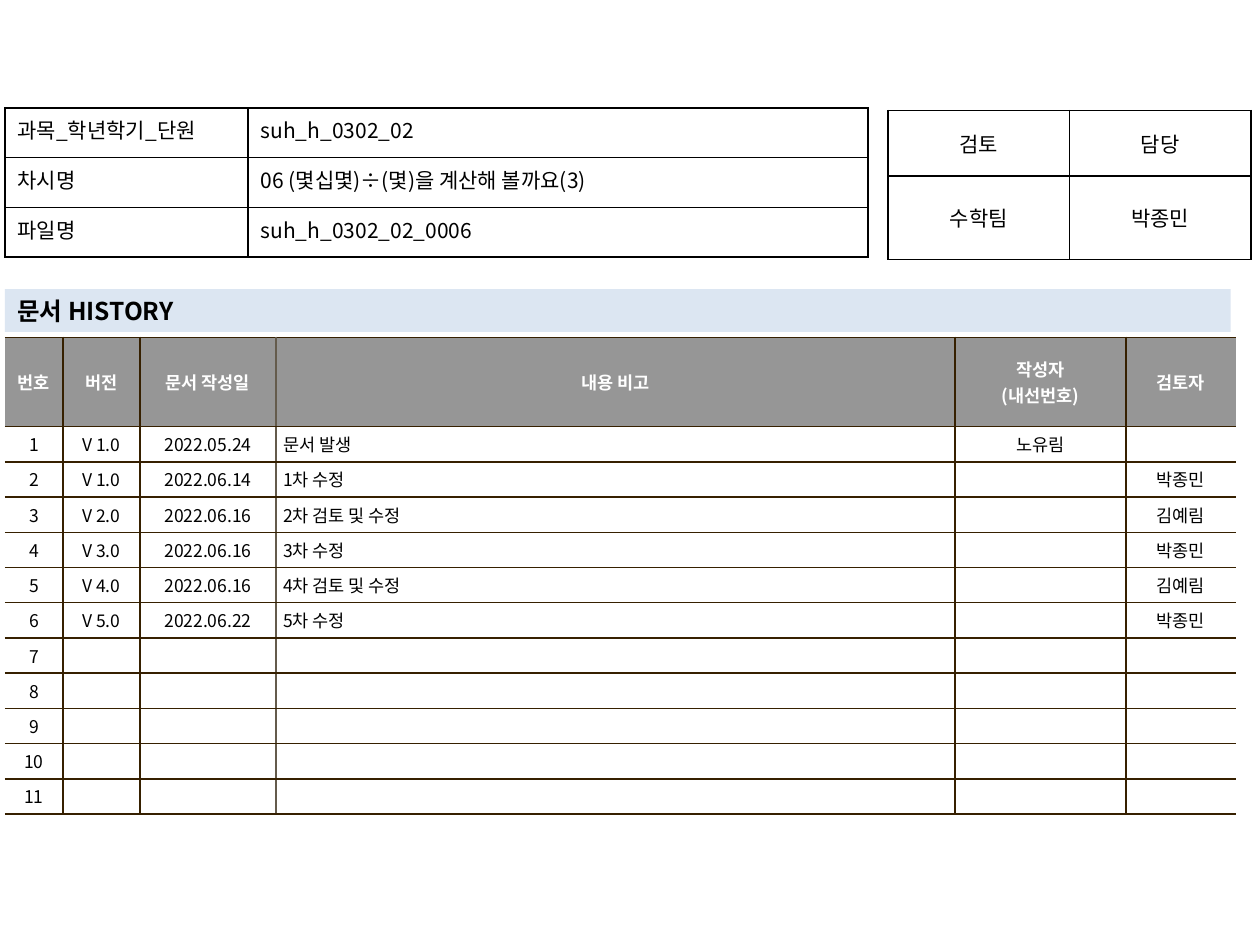
from lxml.etree import SubElement as Sub
from pptx import Presentation
from pptx.dml.color import RGBColor as RGB
from pptx.enum.shapes import MSO_SHAPE as Form
from pptx.enum.text import MSO_ANCHOR as Anchor, PP_ALIGN as Align
from pptx.oxml.ns import qn
from pptx.util import Cm, Pt

FONT = "Noto Sans CJK KR"
BLACK = RGB(0x00, 0x00, 0x00)
WHITE = RGB(0xFF, 0xFF, 0xFF)
GRAY = RGB(0x96, 0x96, 0x96)
BLUE = RGB(0xDC, 0xE6, 0xF2)
BROWN = RGB(0x36, 0x20, 0x00)
TAUPE = RGB(0x64, 0x5B, 0x4C)

INFO = [
    ("과목_학년학기_단원", "suh_h_0302_02"),
    ("차시명", "06 (몇십몇)÷(몇)을 계산해 볼까요(3)"),
    ("파일명", "suh_h_0302_02_0006"),
]
SIGN = [("검토", "담당"), ("수학팀", "박종민")]
HEAD = ("번호", "버전", "문서 작성일", "내용 비고", "작성자\n(내선번호)", "검토자")
LOG = [
    ("V 1.0", "2022.05.24", "문서 발생", "노유림", ""),
    ("V 1.0", "2022.06.14", "1차 수정", "", "박종민"),
    ("V 2.0", "2022.06.16", "2차 검토 및 수정", "", "김예림"),
    ("V 3.0", "2022.06.16", "3차 수정", "", "박종민"),
    ("V 4.0", "2022.06.16", "4차 검토 및 수정", "", "김예림"),
    ("V 5.0", "2022.06.22", "5차 수정", "", "박종민"),
]
COUNT = 11


def write(frame, text, size, color=BLACK, bold=False, align=Align.LEFT):
    """Fill a text frame, one paragraph per line."""
    frame.text = text
    for par in frame.paragraphs:
        par.alignment = align
        font = par.font
        font.size, font.bold, font.name = Pt(size), bold, FONT
        font.color.rgb = color
        Sub(font._element.find(qn("a:ea")) or par._p.pPr.find(qn("a:defRPr")),
            qn("a:ea"), typeface=FONT)
        if not text:
            Sub(par._p, qn("a:endParaRPr"), sz=str(size * 100))


def edge(cell, **sides):
    """Draw the cell borders L, R, T and B; None leaves a side open."""
    props = cell._tc.get_or_add_tcPr()
    for side in "LRTB":
        line = Sub(props, qn(f"a:ln{side}"), w=str(Pt(1)))
        if sides[side] is None:
            Sub(line, qn("a:noFill"))
        else:
            fill = Sub(line, qn("a:solidFill"))
            Sub(fill, qn("a:srgbClr"), val=str(sides[side]))


def grid(slide, left, top, cols, rows):
    """Add a plain table with the given column widths and row heights."""
    frame = slide.shapes.add_table(len(rows), len(cols), Cm(left), Cm(top),
                                   Cm(sum(cols)), Cm(sum(rows)))
    table = frame.table
    table.first_row = table.horz_banding = False
    for col, width in zip(table.columns, cols):
        col.width = Cm(width)
    for row, height in zip(table.rows, rows):
        row.height = Cm(height)
    return table


def boxed(slide, left, top, cols, rows, data, aligns, anchor):
    """Add a black-ruled table of short entries."""
    table = grid(slide, left, top, cols, rows)
    for r, line in enumerate(data):
        for c, text in enumerate(line):
            cell = table.cell(r, c)
            write(cell.text_frame, text, 12, align=aligns[c])
            cell.vertical_anchor = anchor
            edge(cell, L=BLACK, R=BLACK, T=BLACK, B=BLACK)
            cell.fill.background()


def banner(slide, left, top, width, height):
    """Add the heading bar above the history."""
    bar = slide.shapes.add_shape(Form.RECTANGLE, Cm(left), Cm(top),
                                 Cm(width), Cm(height))
    bar.shadow.inherit = False
    bar.fill.solid()
    bar.fill.fore_color.rgb = BLUE
    bar.line.fill.background()
    bar.text_frame.word_wrap = True
    bar.text_frame.vertical_anchor = Anchor.MIDDLE
    write(bar.text_frame, "문서 HISTORY", 14, bold=True)


def history(slide, left, top):
    """Add the numbered revision table."""
    cols = (1.17, 1.55, 2.74, 13.69, 3.45, 2.21)
    table = grid(slide, left, top, cols, [1.8] + [0.71] * COUNT)
    blank = [("",) * 5] * (COUNT - len(LOG))
    body = [(str(n), *line) for n, line in enumerate(LOG + blank, 1)]
    rules = (None, BROWN, BROWN, TAUPE, BROWN, BROWN, None)
    for r, line in enumerate([HEAD] + body):
        top_row = r == 0
        for c, text in enumerate(line):
            cell = table.cell(r, c)
            align = Align.LEFT if c == 3 and not top_row else Align.CENTER
            write(cell.text_frame, text, 10, WHITE if top_row else BLACK,
                  top_row, align)
            cell.vertical_anchor = Anchor.MIDDLE
            cell.margin_left = cell.margin_right = Cm(0.15)
            cell.margin_top = cell.margin_bottom = Cm(0.1)
            edge(cell, L=rules[c], R=rules[c + 1], T=BROWN, B=BROWN)
            cell.fill.solid()
            cell.fill.fore_color.rgb = GRAY if top_row else WHITE


def main():
    """Build the document history slide."""
    deck = Presentation()
    deck.slide_width, deck.slide_height = Cm(25.4), Cm(19.05)
    slide = deck.slides.add_slide(deck.slide_layouts[6])
    history(slide, 0.1, 6.8)
    boxed(slide, 17.9, 2.23, (3.66, 3.66), (1.32, 1.68), SIGN,
          (Align.CENTER, Align.CENTER), Anchor.MIDDLE)
    banner(slide, 0.1, 5.83, 24.71, 0.86)
    boxed(slide, 0.1, 2.18, (4.9, 12.5), (1, 1, 1), INFO,
          (Align.JUSTIFY, Align.LEFT), Anchor.TOP)
    deck.save("out.pptx")


if __name__ == "__main__":
    main()
